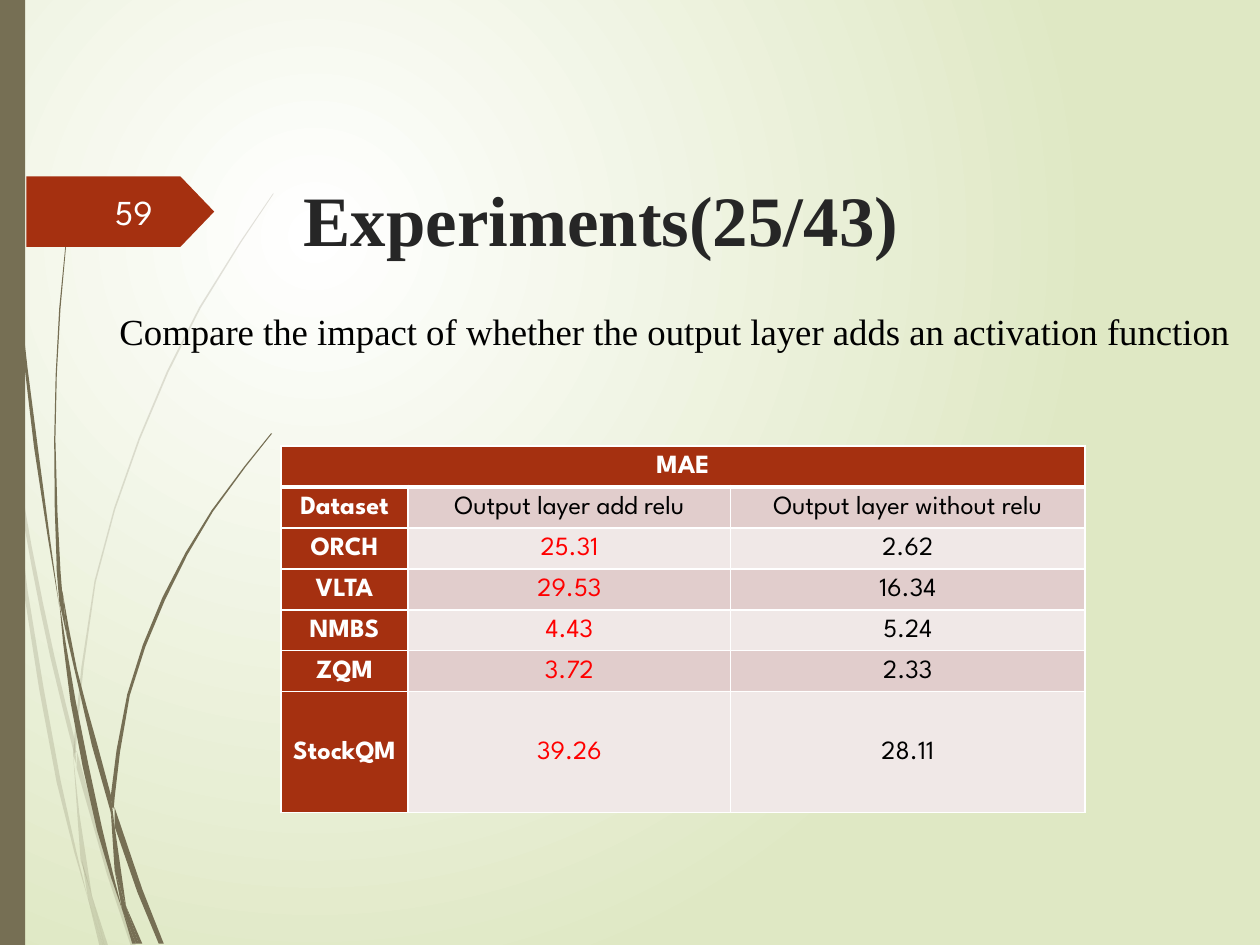
from dataclasses import dataclass
from itertools import product

from lxml import etree
from pptx import Presentation
from pptx.dml.color import RGBColor
from pptx.enum.shapes import MSO_SHAPE
from pptx.enum.text import MSO_ANCHOR, MSO_AUTO_SIZE, PP_ALIGN
from pptx.oxml.ns import qn
from pptx.util import Emu, Inches, Pt

LEFT, CENTER, RIGHT = PP_ALIGN.LEFT, PP_ALIGN.CENTER, PP_ALIGN.RIGHT
TOP, MIDDLE = MSO_ANCHOR.TOP, MSO_ANCHOR.MIDDLE
RECTANGLE, PENTAGON = MSO_SHAPE.RECTANGLE, MSO_SHAPE.PENTAGON
SLIDE_WIDTH, SLIDE_HEIGHT = Inches(10), Inches(7.5)
GRID_COLUMNS, GRID_ROWS = 100, 75
Points = list[tuple[float, float]]


@dataclass(frozen=True)
class Theme:
    """Colours, fonts and type sizes of the slide."""
    stem: str = "766F54"
    accent: str = "A53010"
    glow: str = "FFFFFF"
    meadow: str = "DFE8C4"
    title: str = "262626"
    text: str = "000000"
    light: str = "FFFFFF"
    marked: str = "FF0000"
    bands: tuple = ("F0E8E7", "E1CDCC")
    serif: str = "Times New Roman"
    sans: str = "League Spartan"
    title_size: float = 40.5
    lead_size: float = 21
    number_size: float = 20
    table_size: float = 15


@dataclass(frozen=True)
class Box:
    """An area in grid columns and rows."""
    left: float
    top: float
    width: float
    height: float

    def place(self) -> tuple:
        """Return the area as slide lengths."""
        return across(self.left), down(self.top), across(self.width), down(self.height)


@dataclass(frozen=True)
class Blade:
    """A grass blade between two curved edges."""
    near: Points
    far: Points


@dataclass(frozen=True)
class Style:
    """How a run of text looks."""
    font: str
    size: float
    color: str
    bold: bool = False
    align: PP_ALIGN = LEFT


THEME = Theme()

FAINT_BLADES = [
    Blade([(0, 28.2), (.6, 32.2), (.8, 35)], [(0, 29.9), (.7, 34.4), (.8, 35)]),
    Blade([(1, 34.5), (2.5, 43.3), (4.3, 52), (5.9, 58.6)], [(1.2, 37.6), (2.5, 44.9), (4, 52.2), (5.9, 59.9)]),
    Blade([(6.1, 59.6), (8.8, 69.2), (10.8, 75.1)], [(6.1, 61), (8.5, 69.4), (10.4, 75.1)]),
    Blade([(7.3, 71.1), (8.6, 75.1)], [(7.3, 71.1), (8.3, 75.1)]),
    Blade([(.8, 35), (2.2, 46.9), (4.8, 61.9), (7, 71.4)], [(.8, 35), (1.9, 47), (4.5, 62.1), (7, 71.4)]),
    Blade([(5.8, 59.9), (6.3, 64.6), (7.3, 71.1)], [(5.8, 59.9), (6.4, 68.3), (7.3, 71.1)]),
    Blade([(21.7, 15.3), (15.8, 24.4), (11, 34.8), (7.5, 46.1), (5.9, 58.4), (6.1, 59.6)],
          [(21.7, 15.4), (15.9, 24.5), (11.1, 34.9), (7.6, 46.2), (6.1, 58.4), (6.1, 59.6)]),
    Blade([(7, 71.4), (7.9, 75.1)], [(7, 71.4), (8.2, 75.1)]),
    Blade([(5.9, 58.6), (6.1, 61)], [(5.8, 59.9), (6.1, 60.8)]),
    Blade([(6.5, 68.3), (7.3, 71.1), (8.3, 75.1)], [(6.5, 68.3), (7, 71.4), (8.2, 75.1)]),
]
DARK_BLADES = [
    Blade([(.2, 0), (.5, 11), (1.4, 23.3), (2.7, 35.5), (4.7, 48.1)],
          [(.3, 0), (.6, 10.9), (1.5, 23.2), (3, 35.5), (4.7, 48.1)]),
    Blade([(5, 47.2), (6.1, 53.1), (7.7, 59), (8.8, 63.1)], [(5.3, 50.5), (7.3, 59.2), (8.8, 64.5)]),
    Blade([(9.1, 64.1), (11.3, 70.6), (13, 74.9)], [(9.1, 65.6), (10.9, 70.8), (12.6, 74.9)]),
    Blade([(4.7, 47.7), (6, 55.6), (8.1, 65.7), (9.7, 72.2)], [(4.7, 47.7), (5.6, 55.7), (7.7, 65.9), (9.7, 72.2)]),
    Blade([(5.8, 14.1), (4.7, 24.5), (4.3, 34.9), (4.5, 44.9), (4.9, 47.2)],
          [(5.8, 14.1), (4.8, 24.5), (4.4, 34.9), (4.8, 45.3), (5, 47.2)]),
    Blade([(10, 71.9), (11.3, 74.9)], [(10, 71.9), (11, 74.9)]),
    Blade([(4.5, 44.9), (5, 47.2), (5.3, 50.5)], [(4.5, 45.3), (4.7, 47.7), (5.3, 50.5)]),
    Blade([(21.5, 34.4), (16.8, 40.5), (12.9, 47.4), (10.1, 55.1), (8.8, 63.1), (9.1, 64.1)],
          [(21.6, 34.4), (16.9, 40.6), (13.1, 47.6), (10.3, 55.2), (9.1, 63.3), (9.1, 64.1)]),
    Blade([(9.7, 72.2), (10.8, 74.9)], [(9.7, 72.2), (10.5, 74.9)]),
    Blade([(8.8, 64.5), (9.1, 65.6), (10, 71.9)], [(8.8, 64.5), (9.1, 69.1), (10, 71.9)]),
    Blade([(8.8, 63.1), (9.1, 65.6)], [(8.8, 64.5), (9.1, 65.6)]),
    Blade([(9.1, 69.1), (10, 71.9), (11, 74.9)], [(9.1, 69.1), (9.7, 72.2), (10.8, 74.9)]),
]

TABLE_COLUMNS = [10.1, 25.6, 28.1]
TABLE_ROWS = [3.25] * 6 + [9.6]
TABLE_TEXT = [
    ["MAE", "", ""],
    ["Dataset", "Output layer add relu", "Output layer without relu"],
    ["ORCH", "25.31", "2.62"],
    ["VLTA", "29.53", "16.34"],
    ["NMBS", "4.43", "5.24"],
    ["ZQM", "3.72", "2.33"],
    ["StockQM", "39.26", "28.11"],
]


def across(columns: float) -> Emu:
    """Turn grid columns into a length."""
    return Emu(round(SLIDE_WIDTH * columns / GRID_COLUMNS))


def down(rows: float) -> Emu:
    """Turn grid rows into a length."""
    return Emu(round(SLIDE_HEIGHT * rows / GRID_ROWS))


def smooth(points: Points) -> Points:
    """Add a Catmull-Rom midpoint between neighbours of a bent edge."""
    if len(points) < 4:
        return points
    padded = [points[0], *points, points[-1]]
    curve = [points[0]]
    for a, b, c, d in zip(padded, padded[1:], padded[2:], padded[3:]):
        curve.append(tuple((9 * (q + r) - p - s) / 16 for p, q, r, s in zip(a, b, c, d)))
        curve.append(c)
    return curve


def paint(shape, color: str) -> None:
    """Give a shape a plain fill without line or shadow."""
    shape.fill.solid()
    shape.fill.fore_color.rgb = RGBColor.from_string(color)
    shape.line.fill.background()
    shape.shadow.inherit = False


def write(text_frame, text: str, style: Style) -> None:
    """Set one paragraph of formatted text."""
    text_frame.text = text
    paragraph = text_frame.paragraphs[0]
    paragraph.alignment = style.align
    for run in paragraph.runs:
        run.font.name, run.font.size, run.font.bold = style.font, Pt(style.size), style.bold
        run.font.color.rgb = RGBColor.from_string(style.color)


def draw_background(slide) -> None:
    """Fill the slide with a round glow."""
    fill = slide.background.fill
    fill.gradient()
    for stop, color in zip(fill.gradient_stops, (THEME.glow, THEME.meadow)):
        stop.color.rgb = RGBColor.from_string(color)
    gradient = slide.element.find(".//" + qn("a:gradFill"))
    gradient.remove(gradient.find(qn("a:lin")))
    circle = etree.SubElement(gradient, qn("a:path"), path="circle")
    etree.SubElement(circle, qn("a:fillToRect"), l="50000", t="50000", r="100000", b="100000")


def draw_blades(slide, blades: list[Blade], opacity: int = 100) -> None:
    """Draw a group of grass blades."""
    group = slide.shapes.add_group_shape()
    for blade in blades:
        outline = [(across(x), down(y)) for x, y in smooth(blade.near) + smooth(blade.far)[::-1]]
        builder = group.shapes.build_freeform(*outline[0])
        builder.add_line_segments(outline[1:], close=True)
        shape = builder.convert_to_shape()
        paint(shape, THEME.stem)
        if opacity < 100:
            color = shape.element.spPr.find(".//" + qn("a:srgbClr"))
            etree.SubElement(color, qn("a:alpha"), val=str(opacity * 1000))


def draw_shape(slide, kind: MSO_SHAPE, box: Box, color: str):
    """Draw a plain preset shape."""
    shape = slide.shapes.add_shape(kind, *box.place())
    paint(shape, color)
    return shape


def draw_text(slide, box: Box, text: str, style: Style, anchor: MSO_ANCHOR = TOP) -> None:
    """Draw a wrapping text box."""
    text_frame = slide.shapes.add_textbox(*box.place()).text_frame
    text_frame.word_wrap = True
    text_frame.vertical_anchor = anchor
    write(text_frame, text, style)


def draw_title(slide, box: Box, text: str) -> None:
    """Move and format the title placeholder."""
    title = slide.shapes.title
    title.element.getparent().append(title.element)
    title.left, title.top, title.width, title.height = box.place()
    frame = title.text_frame
    frame.auto_size, frame.vertical_anchor = MSO_AUTO_SIZE.NONE, TOP
    frame.margin_left = frame.margin_right = Inches(.07)
    frame.margin_top = frame.margin_bottom = Inches(.04)
    write(frame, text, Style(THEME.serif, THEME.title_size, THEME.title, True))


def border_cell(cell, bottom: float) -> None:
    """Put light borders round a table cell."""
    properties = cell._tc.get_or_add_tcPr()
    for index, (side, width) in enumerate(zip("LRTB", (1, 1, 1, bottom))):
        line = etree.Element(qn("a:ln" + side), w=str(Pt(width)))
        fill = etree.SubElement(line, qn("a:solidFill"))
        etree.SubElement(fill, qn("a:srgbClr"), val=THEME.light)
        properties.insert(index, line)


def draw_table(slide, box: Box) -> None:
    """Draw the error table with its heading row and column."""
    table = slide.shapes.add_table(len(TABLE_ROWS), len(TABLE_COLUMNS), *box.place()).table
    for column, width in zip(table.columns, TABLE_COLUMNS):
        column.width = across(width)
    for row, height in zip(table.rows, TABLE_ROWS):
        row.height = down(height)
    for r, c in product(range(len(TABLE_ROWS)), range(len(TABLE_COLUMNS))):
        cell = table.cell(r, c)
        heading = r == 0 or c == 0
        color = THEME.light if heading else THEME.marked if c == 1 and r > 1 else THEME.text
        cell.margin_left = cell.margin_right = cell.margin_top = Inches(.01)
        cell.margin_bottom = 0
        cell.vertical_anchor = MIDDLE
        cell.fill.solid()
        cell.fill.fore_color.rgb = RGBColor.from_string(THEME.accent if heading else THEME.bands[r % 2])
        border_cell(cell, 3 if r == 0 else 1)
        write(cell.text_frame, TABLE_TEXT[r][c], Style(THEME.sans, THEME.table_size, color, heading, CENTER))
    table.cell(0, 0).merge(table.cell(0, len(TABLE_COLUMNS) - 1))


def main() -> None:
    """Build and save the slide."""
    presentation = Presentation()
    presentation.slide_width, presentation.slide_height = SLIDE_WIDTH, SLIDE_HEIGHT
    slide = presentation.slides.add_slide(presentation.slide_layouts[5])
    draw_background(slide)
    draw_blades(slide, FAINT_BLADES, opacity=20)
    draw_blades(slide, DARK_BLADES)
    draw_shape(slide, RECTANGLE, Box(0, 0, 2, GRID_ROWS), THEME.stem)
    draw_shape(slide, PENTAGON, Box(2.1, 14, 14.9, 5.6), THEME.accent).adjustments[0] = .48
    draw_text(slide, Box(6.7, 14.8, 6.4, 4), "59",
              Style(THEME.sans, THEME.number_size, THEME.light, align=RIGHT), MIDDLE)
    draw_title(slide, Box(23.4, 13.5, 53.2, 10.5), "Experiments(25/43)")
    draw_text(slide, Box(8.5, 24, 95.3, 4.5),
              "Compare the impact of whether the output layer adds an activation function",
              Style(THEME.serif, THEME.lead_size, THEME.text))
    draw_table(slide, Box(22.3, 35.4, sum(TABLE_COLUMNS), sum(TABLE_ROWS)))
    presentation.save("out.pptx")


if __name__ == "__main__":
    main()
